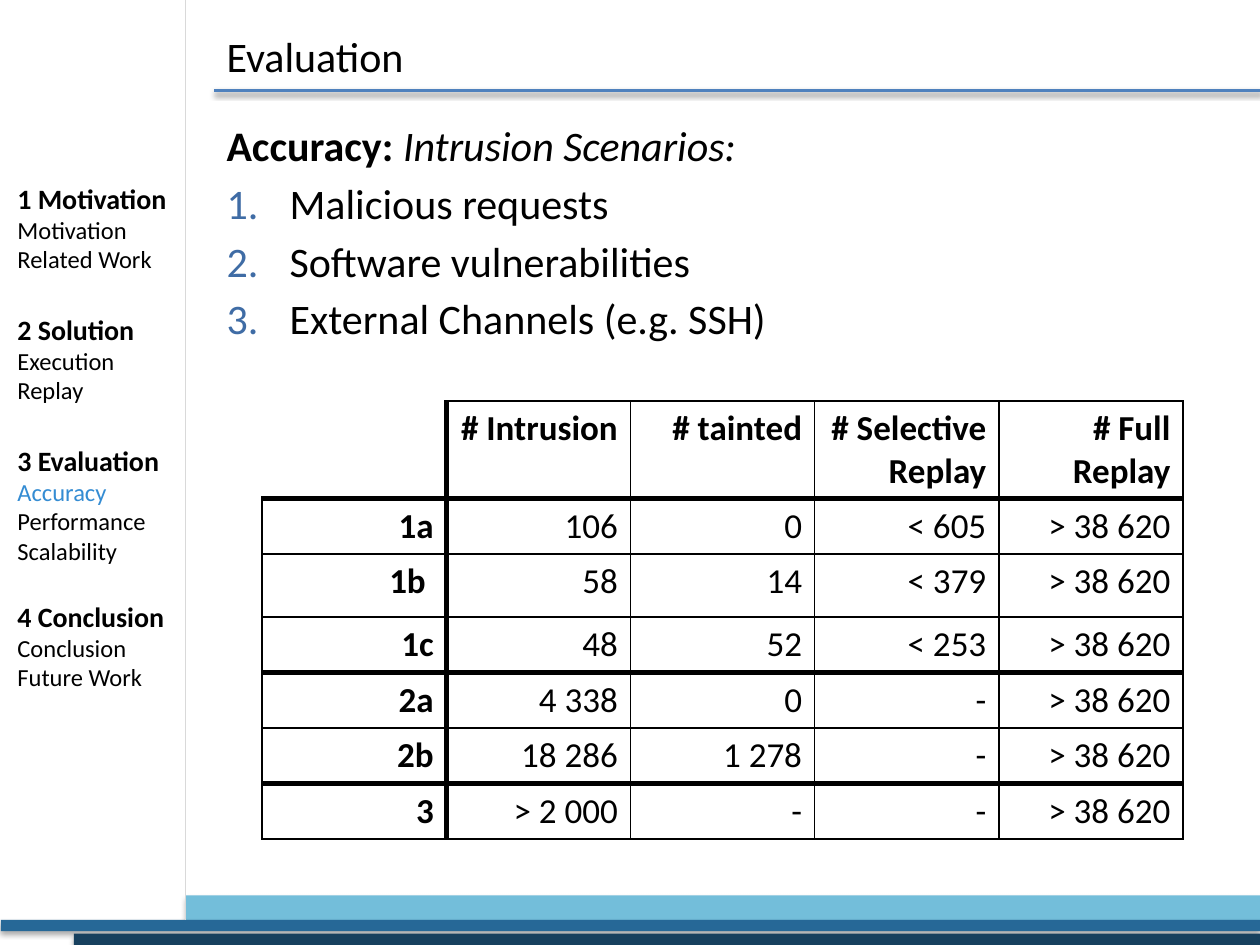
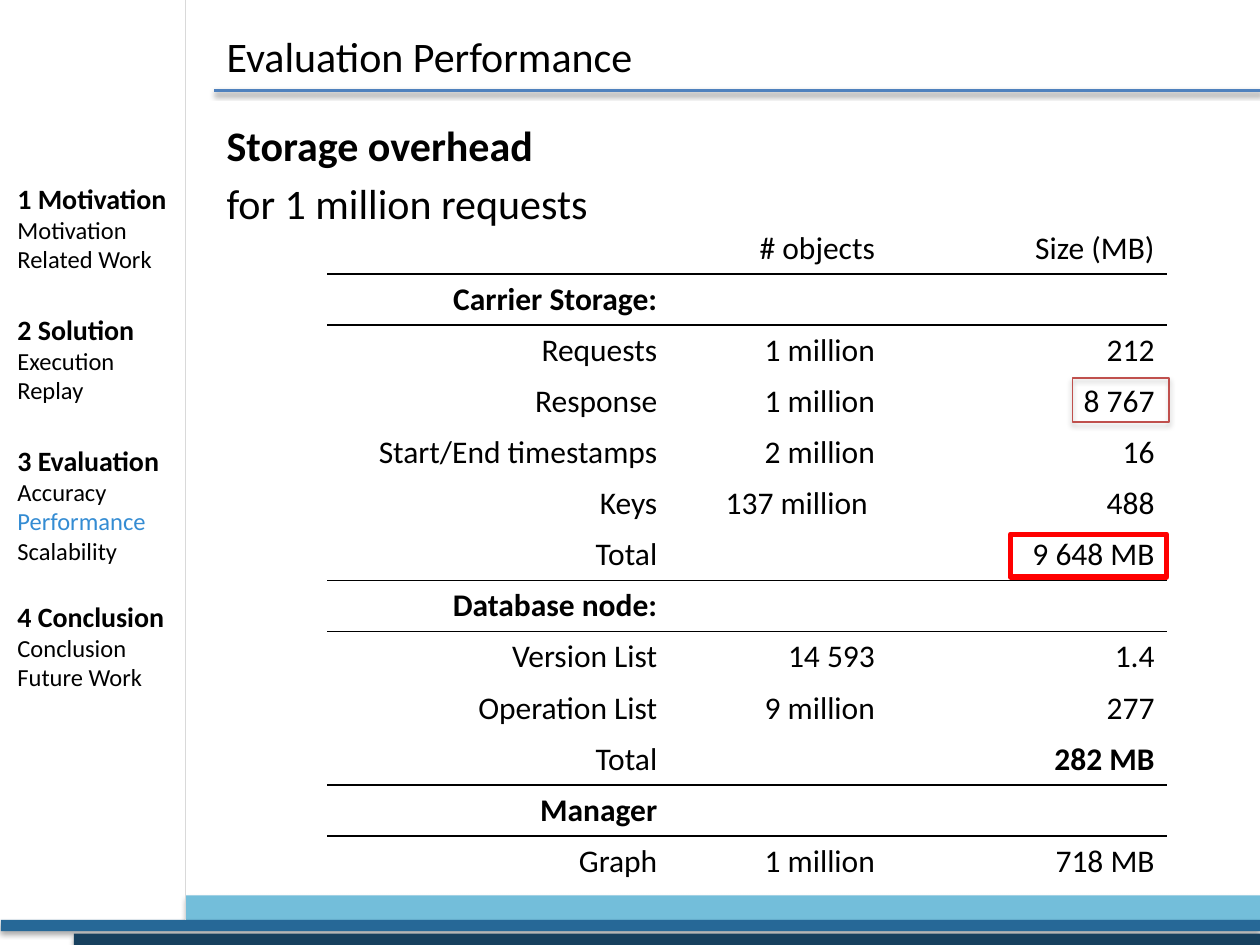
import lxml.etree
import pptx
import pptx.dml.color
import pptx.enum.shapes
import pptx.enum.text
import pptx.oxml.ns
import pptx.util

Pt = pptx.util.Pt
RGBColor = pptx.dml.color.RGBColor
RECTANGLE = pptx.enum.shapes.MSO_SHAPE.RECTANGLE
STRAIGHT = pptx.enum.shapes.MSO_CONNECTOR.STRAIGHT
MIDDLE = pptx.enum.text.MSO_ANCHOR.MIDDLE
RIGHT = pptx.enum.text.PP_ALIGN.RIGHT

BLACK = RGBColor(0x00, 0x00, 0x00)
SKY = RGBColor(0x73, 0xBE, 0xDA)
BLUE = RGBColor(0x26, 0x68, 0x97)
NAVY = RGBColor(0x17, 0x40, 0x5E)
RULE_BLUE = RGBColor(0x4F, 0x81, 0xBD)
PALE_GREY = RGBColor(0xD9, 0xD9, 0xD9)
NUMBER_BLUE = RGBColor(0x3F, 0x6C, 0xA5)
CURRENT_BLUE = RGBColor(0x34, 0x8C, 0xD3)
RED = RGBColor(0xFF, 0x00, 0x00)
BRICK = RGBColor(0xC0, 0x50, 0x4D)

FONT = "Calibri"
PLAIN_TABLE = "{2D5ABB26-0587-4C30-8999-92F81FD0307C}"
PAGE = (0, 0, 720, 540)
TITLE_BOX = (122.4, 15.84, 340.6, 32.4)
BODY_BOX = (122.4, 64.8, 584, 435.6)
OUTLINE_BOX = (2.88, 100.1, 105.1, 317.5)
SCENARIO_BOX = (149.8, 229, 526.3, 252)
STORAGE_BOX = (187, 127.4, 480, 379.6)

OUTLINE = [
    (0, "1 Motivation", ["Motivation", "Related Work"]),
    (22, "2 Solution", ["Execution", "Replay"]),
    (22, "3 Evaluation", ["Accuracy", "Performance", "Scalability"]),
    (19.5, "4 Conclusion", ["Conclusion", "Future Work"]),
]
SCENARIOS = [
    ["", "# Intrusion", "# tainted", "# Selective Replay", "# Full Replay"],
    ["1a", "106", "0", "< 605", "> 38 620"],
    ["1b ", "58", "14", "< 379", "> 38 620"],
    ["1c", "48", "52", "< 253", "> 38 620"],
    ["2a", "4 338", "0", "-", "> 38 620"],
    ["2b", "18 286", "1 278", "-", "> 38 620"],
    ["3", "> 2 000", "-", "-", "> 38 620"],
]
GROUP_ENDS = {0, 3, 5}
STORAGE = [
    ["", "# objects", "Size (MB)"],
    ["Carrier Storage:", "", ""],
    ["Requests", "1 million", "212"],
    ["Response", "1 million", "8 767"],
    ["Start/End timestamps", "2 million", "16"],
    ["Keys", "137 million ", "488"],
    ["Total", "", "9 648 MB"],
    ["Database node:", "", ""],
    ["Version List", "14 593", "1.4"],
    ["Operation List", "9 million", "277"],
    ["Total", "", "282 MB"],
    ["Manager", "", ""],
    ["Graph", "1 million", "718 MB"],
]
SECTION_ROWS = {1, 7, 11}
BOLD_STORAGE = {(row, 0) for row in SECTION_ROWS} | {(10, 2)}


def points(*lengths):
    """Turn plain numbers into lengths in points."""
    return [Pt(length) for length in lengths]


def add_xml(parent, tag, **attributes):
    """Append a DrawingML element."""
    return lxml.etree.SubElement(parent, pptx.oxml.ns.qn("a:" + tag), attributes)


def cast_shadow(part, distance=1.8, opacity=35):
    """Give a shape or line a soft shadow straight below it."""
    effects = add_xml(part._element.spPr, "effectLst")
    shadow = add_xml(effects, "outerShdw", blurRad=str(Pt(3.1)), dist=str(Pt(distance)),
                     dir="5400000", algn="ctr", rotWithShape="0")
    add_xml(add_xml(shadow, "srgbClr", val=str(BLACK)), "alpha", val=str(opacity * 1000))


def style_runs(paragraph, size, bold=False, color=BLACK):
    """Format every run of a paragraph."""
    for run in paragraph.runs:
        run.font.name, run.font.size = FONT, Pt(size)
        run.font.bold, run.font.color.rgb = bold, color


def add_text_frame(slide, box):
    """Add a wrapping text box and return its frame."""
    frame = slide.shapes.add_textbox(*points(*box)).text_frame
    frame.word_wrap = True
    return frame


def next_paragraph(frame):
    """Return the unused first paragraph or a new one."""
    first = frame.paragraphs[0]
    return frame.add_paragraph() if first.runs else first


def draw_frame(slide, box):
    """Draw the footer bands, the title rule and the outline divider."""
    left, top, width, height = box
    for indent, drop, thickness, color in [(106, 511.7, 14.4, SKY), (0.5, 525.6, 6.5, BLUE),
                                           (42.2, 533.5, 6.5, NAVY)]:
        band = slide.shapes.add_shape(
            RECTANGLE, *points(left + indent, top + drop, width - indent, thickness))
        band.fill.solid()
        band.fill.fore_color.rgb = color
        band.line.fill.background()
        cast_shadow(band)
    for start_x, start_y, end_x, end_y, color, weight in [
            (122.4, 51.8, width, 51.8, RULE_BLUE, 2), (106, 0, 106, 525.6, PALE_GREY, 0.25)]:
        rule = slide.shapes.add_connector(
            STRAIGHT, *points(left + start_x, top + start_y, left + end_x, top + end_y))
        rule.line.color.rgb, rule.line.width = color, Pt(weight)
        cast_shadow(rule, 1.6, 38)


def draw_title(slide, box, title):
    """Write the slide title."""
    frame = add_text_frame(slide, box)
    frame.vertical_anchor = MIDDLE
    frame.text = title
    style_runs(frame.paragraphs[0], 24)


def draw_outline(slide, box, current):
    """List the talk's sections with the current topic highlighted."""
    frame = add_text_frame(slide, box)
    for gap, section, topics in OUTLINE:
        heading = next_paragraph(frame)
        heading.text = section
        heading.space_before = Pt(gap)
        style_runs(heading, 16, bold=True)
        for topic in topics:
            entry = frame.add_paragraph()
            entry.text = topic
            style_runs(entry, 14, color=CURRENT_BLUE if topic == current else BLACK)


def draw_body(slide, box, heading, subject="", lines=(), numbered=False):
    """Write a bold heading with an italic subject, then plain or numbered lines."""
    frame = add_text_frame(slide, box)
    frame.text = heading
    opening = frame.paragraphs[0]
    style_runs(opening, 24, bold=True)
    if subject:
        detail = opening.add_run()
        detail.text = subject
        style_runs(opening, 24)
        opening.runs[0].font.bold = True
        detail.font.italic = True
    for line in lines:
        item = frame.add_paragraph()
        item.text = line
        item.space_before = Pt(4.2)
        style_runs(item, 24)
        if numbered:
            properties = item._p.get_or_add_pPr()
            properties.set("marL", str(Pt(36)))
            properties.set("indent", str(Pt(-36)))
            add_xml(add_xml(properties, "buClr"), "srgbClr", val=str(NUMBER_BLUE))
            add_xml(properties, "buFont", typeface="+mj-lt")
            add_xml(properties, "buAutoNum", type="arabicPeriod")


def draw_borders(cell, weights):
    """Draw the left, right, top and bottom borders, where 0 means none."""
    properties = cell._tc.get_or_add_tcPr()
    for side, weight in zip("LRTB", weights):
        border = add_xml(properties, "ln" + side, w=str(Pt(weight)))
        if weight:
            add_xml(add_xml(border, "solidFill"), "srgbClr", val=str(BLACK))
        else:
            add_xml(border, "noFill")


def draw_table(slide, box, rows, widths, heights, size, is_bold, borders):
    """Build a right-aligned table without fills."""
    graphic = slide.shapes.add_table(len(rows), len(widths), *points(*box))
    table = graphic.table
    table.first_row = table.horz_banding = False
    table._tbl.tblPr.find(pptx.oxml.ns.qn("a:tableStyleId")).text = PLAIN_TABLE
    for column, width in zip(table.columns, widths):
        column.width = Pt(width)
    for r, (values, height) in enumerate(zip(rows, heights)):
        table.rows[r].height = Pt(height)
        for c, value in enumerate(values):
            cell = table.cell(r, c)
            cell.text = value
            cell.text_frame.paragraphs[0].alignment = RIGHT
            style_runs(cell.text_frame.paragraphs[0], size, bold=is_bold(r, c))
            draw_borders(cell, borders(r, c))
            cell.fill.background()


def scenario_borders(row, column):
    """Give heavy lines beside the labels and below each scenario group."""
    corner = row == column == 0
    return (0 if corner else 3 if column == 1 else 1,
            3 if column == 0 else 1,
            0 if corner else 3 if row - 1 in GROUP_ENDS else 1,
            3 if row in GROUP_ENDS else 1)


def storage_borders(row, column):
    """Rule off each section row above and below."""
    section = row in SECTION_ROWS
    return (0, 0, int(section or row - 1 in SECTION_ROWS),
            int(section or row + 1 in SECTION_ROWS))


def draw_highlight(slide, box, color, weight):
    """Outline a value and return the frame."""
    highlight = slide.shapes.add_shape(RECTANGLE, *points(*box))
    highlight.fill.background()
    highlight.line.color.rgb, highlight.line.width = color, Pt(weight)
    return highlight


def draw_storage(slide, box):
    """Show the storage table with its two highlighted sizes."""
    left, top, width, height = box
    row_height = height / len(STORAGE)
    draw_table(slide, box, STORAGE, [195.8, 124.4, 159.8], [row_height] * len(STORAGE), 18,
               lambda r, c: (r, c) in BOLD_STORAGE, storage_borders)
    total = draw_highlight(
        slide, (left + width - 89.6, top + 6 * row_height + 2.7, 89.3, 24.5), RED, 3)
    total.shadow.inherit = False
    response = draw_highlight(
        slide, (left + width - 54.3, top + 3 * row_height + 1, 55.4, 25.2), BRICK, 0.75)
    cast_shadow(response)


def add_slide(deck, title, current):
    """Start a slide with the shared frame, title and outline."""
    slide = deck.slides.add_slide(deck.slide_layouts[6])
    draw_frame(slide, PAGE)
    draw_title(slide, TITLE_BOX, title)
    draw_outline(slide, OUTLINE_BOX, current)
    return slide


def main():
    """Build both evaluation slides."""
    deck = pptx.Presentation()
    deck.slide_width, deck.slide_height = points(*PAGE[2:])

    accuracy = add_slide(deck, "Evaluation", "Accuracy")
    draw_body(accuracy, BODY_BOX, "Accuracy: ", "Intrusion Scenarios:",
              ["Malicious requests", "Software vulnerabilities", "External Channels (e.g. SSH)"],
              numbered=True)
    draw_table(accuracy, SCENARIO_BOX, SCENARIOS, [SCENARIO_BOX[2] / 5] * 5,
               [56, 31.7, 36] + [31.7] * 4, 20,
               lambda r, c: r == 0 or c == 0, scenario_borders)

    performance = add_slide(deck, "Evaluation Performance", "Performance")
    draw_body(performance, BODY_BOX, "Storage overhead", lines=["for 1 million requests"])
    draw_storage(performance, STORAGE_BOX)

    deck.save("out.pptx")


if __name__ == "__main__":
    main()
